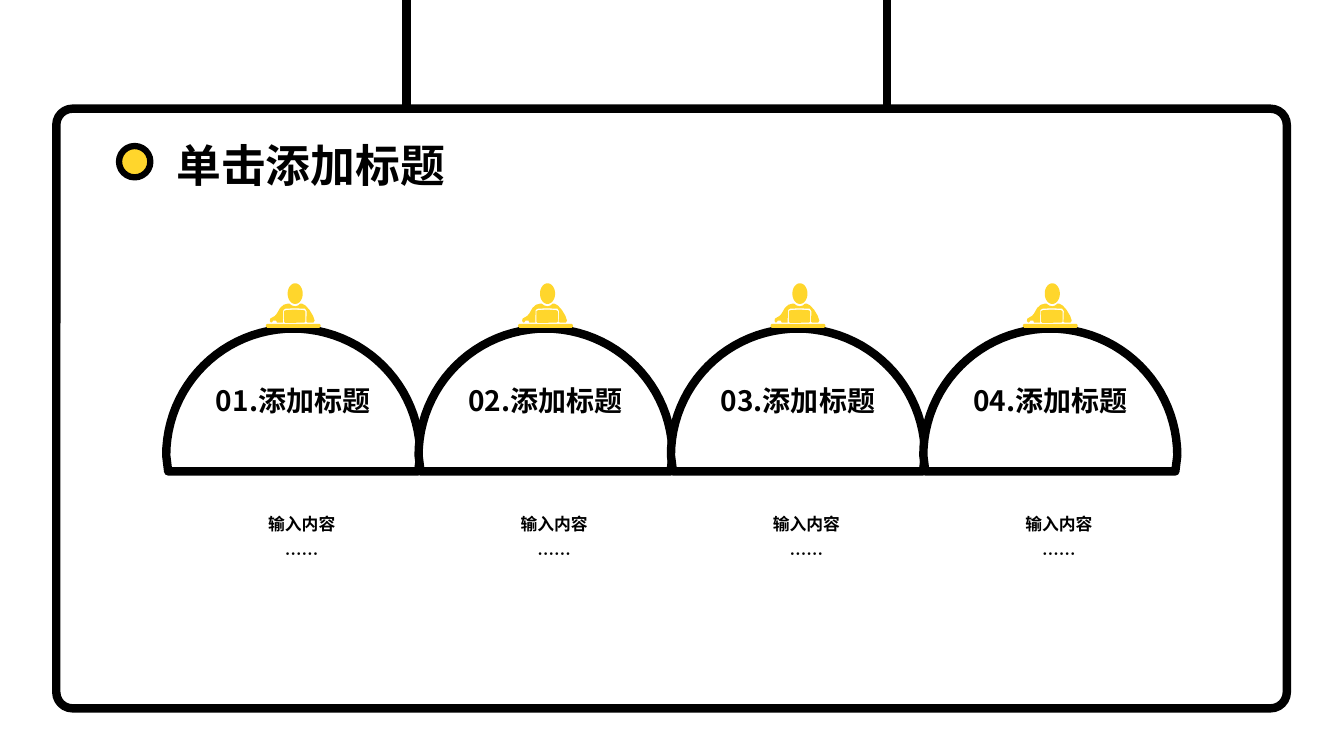
"""Build a hanging-board slide with four arched steps."""
import math
from dataclasses import dataclass

import pptx
import pptx.dml.color
import pptx.enum.shapes
import pptx.enum.text
import pptx.oxml
import pptx.oxml.ns
import pptx.util

Cm = pptx.util.Cm
Pt = pptx.util.Pt
Shape = pptx.enum.shapes.MSO_SHAPE
Align = pptx.enum.text.PP_ALIGN
Anchor = pptx.enum.text.MSO_ANCHOR

TITLE = "单击添加标题"
STEPS = [
    ("01.添加标题", ["输入内容", "……"]),
    ("02.添加标题", ["输入内容", "……"]),
    ("03.添加标题", ["输入内容", "……"]),
    ("04.添加标题", ["输入内容", "……"]),
]

STRINGS_X = (10.24, 22.35)
STRING_LENGTH = 4.09
CARD = (1.42, 2.74, 31.01, 15.11)
DOT = (3, 3.68, 0.79, 0.79)
TITLE_BOX = (4.19, 3.35, 8.05, 1.63)

FIRST_CENTRE, PITCH = 7.39, 6.36
ARCH_TOP, ARCH_RADIUS, ARCH_HEIGHT, FOOT_INSET = 8.28, 3.2, 3.6, 0.05
NOTE_OFFSET, NOTE_TOP, NOTE_WIDTH, NOTE_HEIGHT = -2.77, 12.57, 5.97, 2.95
WORKER_TOP = 7.14

DESK = [(-0.66, 1.02), (0.66, 1.02), (0.69, 1.05), (0.69, 1.09),
        (0.66, 1.12), (-0.66, 1.12), (-0.69, 1.09), (-0.69, 1.05)]
LAPTOP = [(-0.2, 0.68), (0.03, 0.66), (0.28, 0.68), (0.31, 0.71),
          (0.31, 0.96), (0.28, 0.99), (-0.2, 1), (-0.23, 0.97), (-0.23, 0.7)]
BODY = [(-0.13, 0.51), (-0.1, 0.51), (-0.03, 0.56), (0.05, 0.58), (0.12, 0.56),
        (0.18, 0.51), (0.22, 0.51), (0.31, 0.56), (0.41, 0.67), (0.5, 0.82),
        (0.54, 0.94), (0.51, 0.99), (0.36, 0.99), (0.33, 0.97), (0.34, 0.7),
        (0.3, 0.64), (0.03, 0.63), (-0.2, 0.64), (-0.25, 0.67), (-0.26, 0.99),
        (-0.41, 0.99), (-0.43, 0.94), (-0.51, 0.94), (-0.53, 0.98),
        (-0.56, 0.99), (-0.59, 0.95), (-0.58, 0.89), (-0.53, 0.86),
        (-0.46, 0.82), (-0.41, 0.76), (-0.33, 0.62), (-0.24, 0.54)]


@dataclass(frozen=True)
class Theme:
    font: str = "Noto Sans CJK SC"
    ink: str = "000000"
    paper: str = "FFFFFF"
    accent: str = "FFD62C"
    title: float = 32
    heading: float = 20
    body: float = 12
    stroke: float = 6
    dot_stroke: float = 4.5


THEME = Theme()


def colour(code):
    return pptx.dml.color.RGBColor.from_string(code)


def lengths(values):
    return [Cm(value) for value in values]


def arc(centre_x, centre_y, radius_x, radius_y, start, end, steps=48):
    angles = [math.radians(start + (end - start) * i / steps) for i in range(steps + 1)]
    return [(centre_x + radius_x * math.cos(angle), centre_y - radius_y * math.sin(angle))
            for angle in angles]


def paint(shape, fill, stroke=None):
    shape.shadow.inherit = False
    shape.fill.solid()
    shape.fill.fore_color.rgb = colour(fill)
    if stroke:
        shape.line.color.rgb = colour(THEME.ink)
        shape.line.width = Pt(stroke)
    else:
        shape.line.fill.background()


def write(frame, lines, size, align, anchor, spacing=1):
    frame.word_wrap = True
    frame.vertical_anchor = anchor
    for number, line in enumerate(lines):
        para = frame.add_paragraph() if number else frame.paragraphs[0]
        para.text = line
        para.alignment = align
        para.line_spacing = spacing
        para.font.size = Pt(size)
        para.font.bold = True
        para.font.color.rgb = colour(THEME.ink)
        para.font.name = THEME.font
        defaults = para._p.pPr.find(pptx.oxml.ns.qn("a:defRPr"))
        east_asian = pptx.oxml.parse_xml(f'<a:ea {pptx.oxml.ns.nsdecls("a")} typeface="{THEME.font}"/>')
        defaults.append(east_asian)


def add_outline(page, contours, left, top):
    placed = [[(Cm(left + x), Cm(top + y)) for x, y in contour] for contour in contours]
    builder = page.shapes.build_freeform(*placed[0][0])
    builder.add_line_segments(placed[0][1:])
    for contour in placed[1:]:
        builder.move_to(*contour[0])
        builder.add_line_segments(contour[1:])
    return builder.convert_to_shape()


def add_board(page):
    for x in STRINGS_X:
        string = page.shapes.add_connector(
            pptx.enum.shapes.MSO_CONNECTOR.STRAIGHT, *lengths((x, 0, x, STRING_LENGTH)))
        string.line.color.rgb = colour(THEME.ink)
        string.line.width = Pt(THEME.stroke)
        no_effects = pptx.oxml.parse_xml(f'<a:effectLst {pptx.oxml.ns.nsdecls("a")}/>')
        string._element.spPr.append(no_effects)
    card = page.shapes.add_shape(Shape.ROUNDED_RECTANGLE, *lengths(CARD))
    card.adjustments[0] = 0.027
    paint(card, THEME.paper, THEME.stroke)
    dot = page.shapes.add_shape(Shape.OVAL, *lengths(DOT))
    paint(dot, THEME.accent, THEME.dot_stroke)


def add_title(page):
    title = page.shapes.title
    title.left, title.top, title.width, title.height = lengths(TITLE_BOX)
    write(title.text_frame, [TITLE], THEME.title, Align.LEFT, Anchor.TOP)
    title.element.getparent().append(title.element)


def add_step(page, centre, heading, lines):
    foot = ARCH_RADIUS - FOOT_INSET
    dome = arc(0, ARCH_RADIUS, ARCH_RADIUS, ARCH_RADIUS, 180, 0)
    outline = dome + [(foot, ARCH_HEIGHT), (-foot, ARCH_HEIGHT)]
    arch = add_outline(page, [outline], centre, ARCH_TOP)
    paint(arch, THEME.paper, THEME.stroke)
    write(arch.text_frame, [heading], THEME.heading, Align.CENTER, Anchor.MIDDLE)

    note = page.shapes.add_textbox(
        *lengths((centre + NOTE_OFFSET, NOTE_TOP, NOTE_WIDTH, NOTE_HEIGHT)))
    write(note.text_frame, lines, THEME.body, Align.CENTER, Anchor.TOP, 1.5)

    head = arc(0.05, 0.26, 0.19, 0.26, 90, 450)
    worker = add_outline(page, [DESK, LAPTOP, BODY, head], centre, WORKER_TOP)
    paint(worker, THEME.accent)


def main():
    deck = pptx.Presentation()
    deck.slide_width, deck.slide_height = lengths((33.87, 19.05))
    page = deck.slides.add_slide(deck.slide_layouts.get_by_name("Title Only"))
    add_board(page)
    add_title(page)
    for number, (heading, lines) in enumerate(STEPS):
        add_step(page, FIRST_CENTRE + number * PITCH, heading, lines)
    deck.save("out.pptx")


if __name__ == "__main__":
    main()
